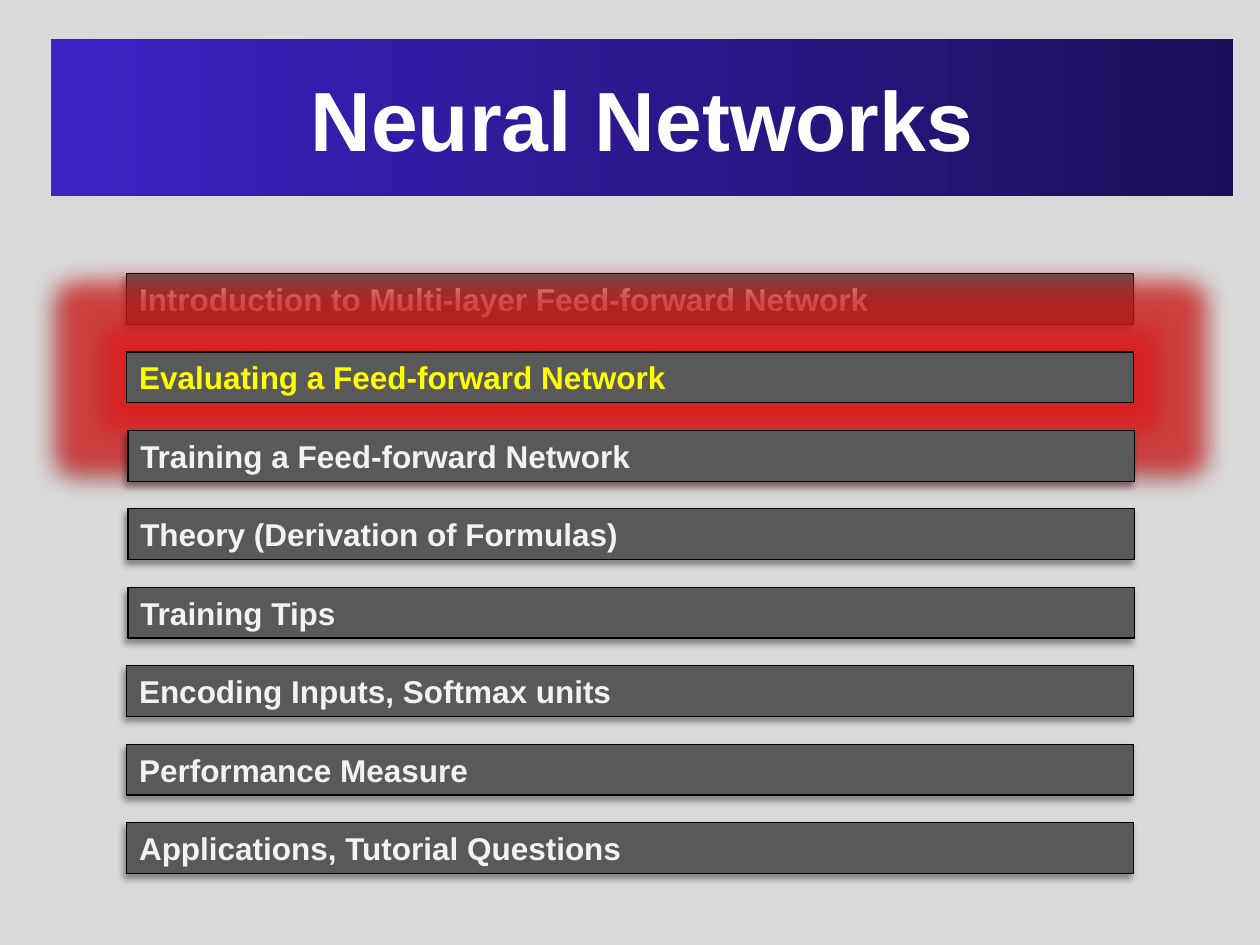
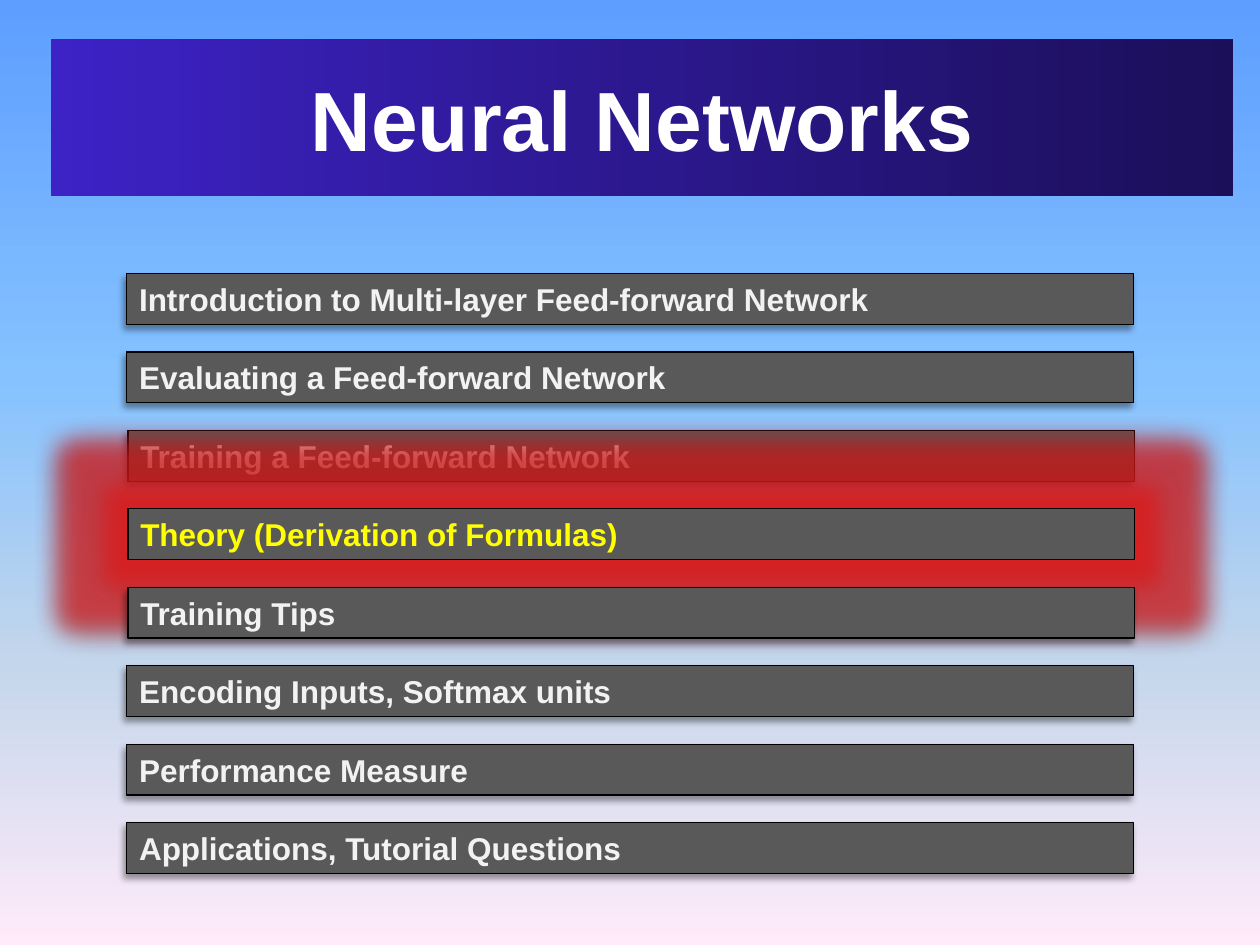
"""Build the two agenda slides of a neural networks lecture."""
from lxml import etree
from pptx import Presentation
from pptx import util as u
from pptx.dml.color import RGBColor
from pptx.enum import shapes, text
from pptx.oxml.ns import qn

COLS, ROWS = 100, 75
TITLE = "Neural Networks"
TOPICS = [
    "Introduction to Multi-layer Feed-forward Network",
    "Evaluating a Feed-forward Network",
    "Training a Feed-forward Network",
    "Theory (Derivation of Formulas)",
    "Training Tips",
    "Encoding Inputs, Softmax units",
    "Performance Measure",
    "Applications, Tutorial Questions",
]
INDENTED = {2, 3, 4}
FIRST_ROW, LAST_ROW = 21.7, 65.3
BAND = [(0, "3D22C6"), (50, "2C188E"), (100, "1B0F59")]
SKY = [(0, "5E9EFF"), (40, "85C2FF"), (70, "C4D6EB"), (100, "FFEBFA")]
SHADOW = {"blurRad": u.Pt(4), "dist": u.Pt(3), "dir": 135 * 60000,
          "algn": "tr", "rotWithShape": 0}
GLOW = {"rad": u.Pt(27)}
HEADING = {"name": "Arial", "size": u.Pt(48), "bold": True}
LABEL = {"name": "Arial", "size": u.Pt(18), "bold": True}


def rgb(value):
    return RGBColor.from_string(value)


def add_node(parent, tag, **attrs):
    node = etree.SubElement(parent, qn(tag))
    for key, value in attrs.items():
        node.set(key, str(value))
    return node


class Deck:
    """Hold the shared style and the current slide."""

    def __init__(self):
        self.prs = Presentation()
        self.prs.slide_width, self.prs.slide_height = u.Inches(10), u.Inches(7.5)
        self.s = None

    def slide(self, background):
        self.s = self.prs.slides.add_slide(self.prs.slide_layouts[6])
        fill = self.s.background.fill
        if isinstance(background, str):
            fill.solid()
            fill.fore_color.rgb = rgb(background)
        else:
            self.gradient(fill, self.s.element, background, 270)

    def gradient(self, fill, element, stops, angle):
        fill.gradient()
        fill.gradient_angle = angle
        gs_list = element.find(".//" + qn("a:gsLst"))
        gs_list.clear()
        for position, color in stops:
            gs = add_node(gs_list, "a:gs", pos=position * 1000)
            add_node(gs, "a:srgbClr", val=color)

    def effect(self, sp, tag, color, alpha, attrs):
        effects = sp.element.spPr.find(qn("a:effectLst"))
        node = add_node(effects, tag, **attrs)
        clr = add_node(node, "a:srgbClr", val=color)
        add_node(clr, "a:alpha", val=alpha * 1000)

    def box(self, col, row, cols, rows, words, color, style, align):
        w, h = self.prs.slide_width / COLS, self.prs.slide_height / ROWS
        sp = self.s.shapes.add_shape(
            shapes.MSO_SHAPE.RECTANGLE,
            round(col * w), round(row * h), round(cols * w), round(rows * h))
        sp.shadow.inherit = False
        tf = sp.text_frame
        tf.word_wrap = True
        tf.vertical_anchor = text.MSO_ANCHOR.MIDDLE
        p = tf.paragraphs[0]
        p.alignment = align
        r = p.add_run()
        r.text = words
        for key, value in style.items():
            setattr(r.font, key, value)
        r.font.color.rgb = rgb(color)
        return sp

    def title(self, words):
        sp = self.box(4.05, 3.1, 93.8, 12.45, words, "FFFFFF", HEADING,
                      text.PP_ALIGN.CENTER)
        self.gradient(sp.fill, sp.element, BAND, 0)
        sp.line.fill.background()

    def topic(self, index, words, active):
        step = (LAST_ROW - FIRST_ROW) / (len(TOPICS) - 1)
        col = 10.15 if index in INDENTED else 10.05
        sp = self.box(col, FIRST_ROW + index * step, 79.9, 4.04, words,
                      "FFFF00" if active else "F2F2F2", LABEL,
                      text.PP_ALIGN.LEFT)
        sp.fill.solid()
        sp.fill.fore_color.rgb = rgb("595959")
        sp.line.color.rgb = rgb("000000")
        sp.line.width = u.Pt(0.75)
        if active:
            self.effect(sp, "a:glow", "E01818", 70, GLOW)
        self.effect(sp, "a:outerShdw", "000000", 40, SHADOW)

    def agenda(self, background, current):
        self.slide(background)
        self.title(TITLE)
        for index, words in enumerate(TOPICS):
            self.topic(index, words, index == current)


def main():
    deck = Deck()
    deck.agenda("D9D9D9", 1)
    deck.agenda(SKY, 3)
    deck.prs.save("out.pptx")


if __name__ == "__main__":
    main()
